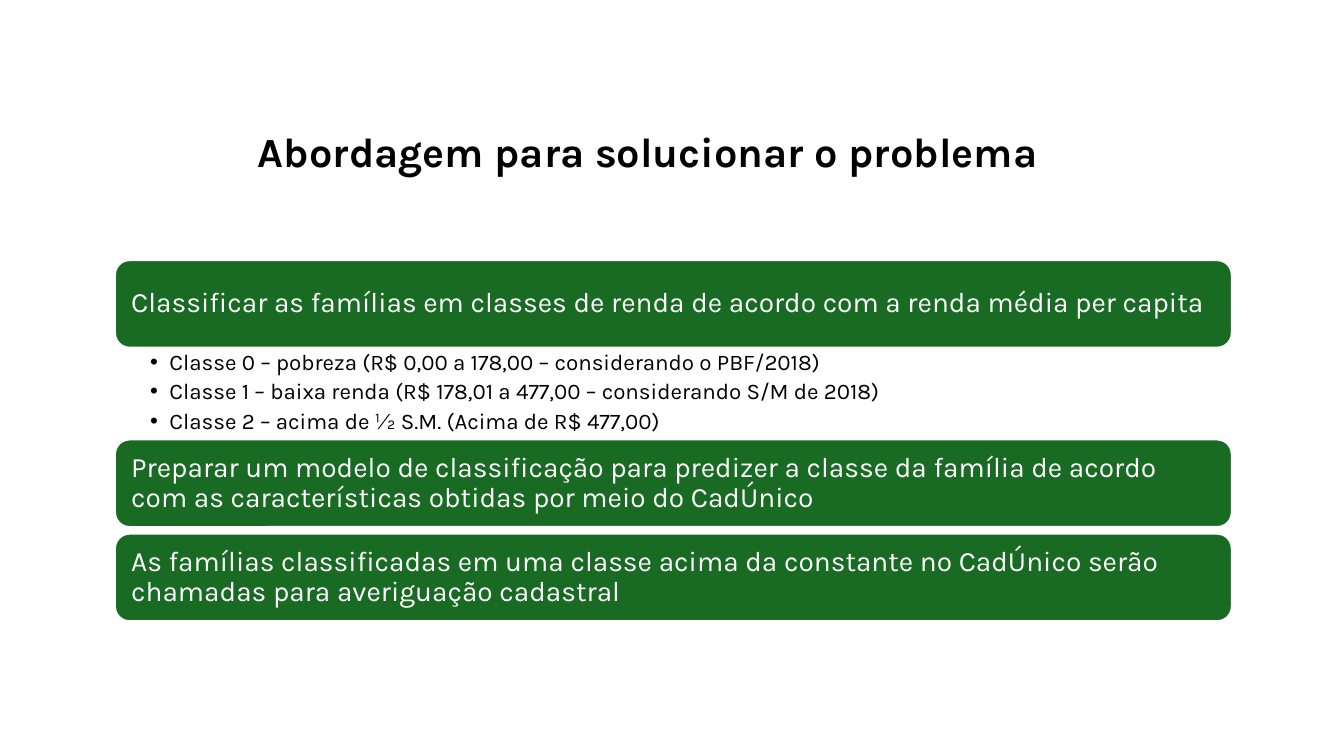
from lxml import etree
from pptx import Presentation
from pptx.dml.color import RGBColor
from pptx.enum import shapes, text
from pptx.oxml.ns import qn
from pptx.util import Pt

# Content: each step has a heading and its list items
TITLE = "Abordagem para solucionar o problema"
STEPS = [
    ("Classificar as famílias em classes de renda de acordo com a renda média per capita", [
        "Classe 0 – pobreza (R$ 0,00 a 178,00 – considerando o PBF/2018)",
        "Classe 1 – baixa renda (R$ 178,01 a 477,00 – considerando S/M de 2018)",
        "Classe 2 – acima de ½ S.M. (Acima de R$ 477,00)",
    ]),
    ("Preparar um modelo de classificação para predizer a classe da família de acordo com "
     "as características obtidas por meio do CadÚnico", []),
    ("As famílias classificadas em uma classe acima da constante no CadÚnico serão "
     "chamadas para averiguação cadastral", []),
]

# Format values; margins run left, top, right, bottom
GREEN, WHITE, BLACK = "196B24", "FFFFFF", "000000"
LEFT, TOP, WIDTH = 82.1, 185.8, 797.8
BAR, LIST, GAP = 62.6, 65.5, 4.7
HEAD = dict(size=29.6, color=BLACK, bold=True, align="CENTER", space=0.7,
            after=0, anchor="TOP", pad=(7.2, 6.8, 7.2, 3.6))
STEP = dict(size=20, color=WHITE, bold=False, align="LEFT", space=0.9,
            after=0, anchor="MIDDLE", pad=(8.6, 8.6, 8.6, 8.6))
ITEM = dict(size=16, color=BLACK, bold=False, align="LEFT", space=0.9,
            after=3.8, anchor="TOP", pad=(25.2, 2.2, 11.5, 2.2))


def paint(color, code):
    color.rgb = RGBColor.from_string(code)


def write(shape, lines, look):
    frame = shape.text_frame
    frame.word_wrap = True
    frame.vertical_anchor = getattr(text.MSO_ANCHOR, look["anchor"])
    for side, pad in zip(("left", "top", "right", "bottom"), look["pad"]):
        setattr(frame, "margin_" + side, Pt(pad))
    frame.text = "\n".join(lines)
    for para in frame.paragraphs:
        form = dict(alignment=getattr(text.PP_ALIGN, look["align"]),
                    line_spacing=look["space"], space_after=Pt(look["after"]))
        for key, val in form.items():
            setattr(para, key, val)
        font = para.runs[0].font
        for key, val in dict(name="Karla", size=Pt(look["size"]), bold=look["bold"]).items():
            setattr(font, key, val)
        paint(font.color, look["color"])
    return frame


def bullet(para):
    props = para._p.get_or_add_pPr()
    props.set("marL", str(Pt(13.7)))
    props.set("indent", str(-Pt(13.7)))
    etree.SubElement(props, qn("a:buFont")).set("typeface", "Arial")
    etree.SubElement(props, qn("a:buChar")).set("char", "•")


def box(slide, top, height, left=LEFT, width=WIDTH):
    return slide.shapes.add_textbox(Pt(left), Pt(top), Pt(width), Pt(height))


def bar(slide, top):
    shape = slide.shapes.add_shape(shapes.MSO_SHAPE.ROUNDED_RECTANGLE,
                                   Pt(LEFT), Pt(top), Pt(WIDTH), Pt(BAR))
    shape.shadow.inherit = False
    shape.fill.solid()
    paint(shape.fill.fore_color, GREEN)
    paint(shape.line.color, WHITE)
    shape.line.width = Pt(1.5)
    return shape


def main():
    deck = Presentation()
    deck.slide_width, deck.slide_height = Pt(960), Pt(540)
    slide = deck.slides.add_slide(deck.slide_layouts[6])

    # Title
    write(box(slide, 92.9, 35.3, 103, 720), [TITLE], HEAD)

    # Steps stacked from top to bottom, a list or a gap after each
    top = TOP
    for step, items in STEPS:
        write(bar(slide, top), [step], STEP)
        top += BAR
        if items:
            for para in write(box(slide, top, LIST), items, ITEM).paragraphs:
                bullet(para)
        top += LIST if items else GAP

    deck.save("out.pptx")


if __name__ == "__main__":
    main()
